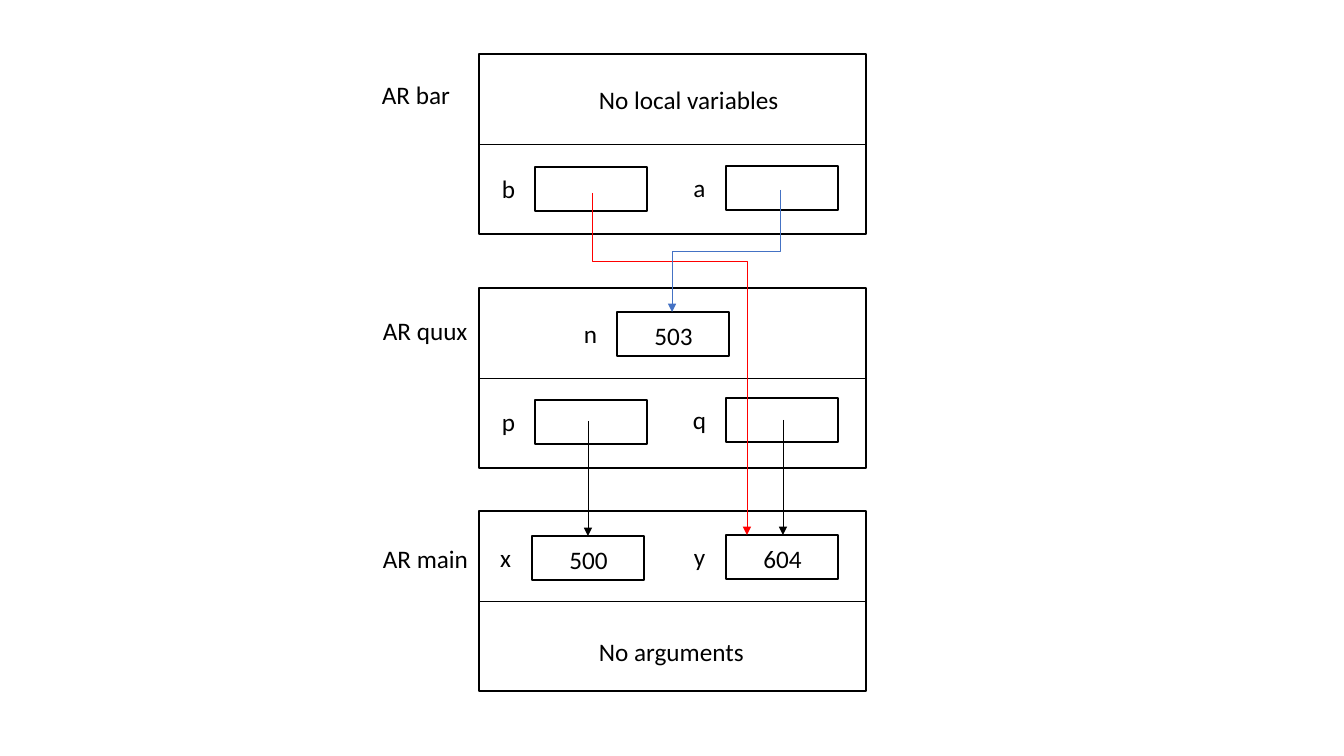
from dataclasses import dataclass

import pptx
import pptx.dml.color
import pptx.enum.shapes
import pptx.enum.text
import pptx.oxml
import pptx.oxml.ns
import pptx.util

RGBColor = pptx.dml.color.RGBColor
BLACK = RGBColor(0x00, 0x00, 0x00)
RED = RGBColor(0xFF, 0x00, 0x00)
BLUE = RGBColor(0x44, 0x72, 0xC4)

SCALE = 914400 / 100.8
FONT = "Calibri"
RECORD_X, RECORD_W, RECORD_H = 479, 387, 180
CELL_W, CELL_H, NAME_W, TEXT_H = 112, 44, 53, 40
THICK, THIN = 1, 0.5


@dataclass(frozen=True)
class Label:
    """A free caption beside or inside a record."""
    text: str
    x: int
    y: int
    w: int


@dataclass(frozen=True)
class Cell:
    """A named variable; x and y are the corner of its box."""
    name: str
    x: int
    y: int
    value: str = ""


@dataclass(frozen=True)
class Pointer:
    """An arrow running down; bend is the share of the drop before the turn."""
    x1: int
    y1: int
    x2: int
    y2: int
    color: RGBColor = BLACK
    bend: float = 0.5


RECORD_TOPS = [288, 54, 511]
LABELS = [
    Label("No arguments", 589, 631, 166),
    Label("AR main", 373, 538, 107),
    Label("AR quux", 373, 310, 106),
    Label("AR bar", 372, 74, 89),
    Label("No local variables", 589, 79, 202),
]
CELLS = [
    Cell("x", 532, 536, "500"),
    Cell("y", 726, 535, "604"),
    Cell("n", 617, 312, "503"),
    Cell("p", 535, 400),
    Cell("q", 726, 398),
    Cell("b", 535, 167),
    Cell("a", 726, 166),
]
POINTERS = [
    Pointer(588, 421, 588, 536),
    Pointer(783, 420, 783, 535),
    Pointer(592, 193, 747, 535, RED, 0.2),
    Pointer(780, 190, 672, 312, BLUE),
]


def px(n: float) -> int:
    """Turn pixels into EMU."""
    return pptx.util.Emu(round(n * SCALE))


def add_text(shapes, text: str, x: int, y: int, w: int, *,
             centered: bool = False, wrap: bool = False, size: int = 18,
             color: RGBColor = BLACK) -> None:
    """Add a one-line text box."""
    tf = shapes.add_textbox(px(x), px(y), px(w), px(TEXT_H)).text_frame
    tf.word_wrap = wrap
    tf.auto_size = pptx.enum.text.MSO_AUTO_SIZE.SHAPE_TO_FIT_TEXT
    p = tf.paragraphs[0]
    if centered:
        p.alignment = pptx.enum.text.PP_ALIGN.CENTER
    r = p.add_run()
    r.text = text
    r.font.name = FONT
    r.font.size = pptx.util.Pt(size)
    r.font.color.rgb = color


def add_box(shapes, x: int, y: int, w: int, h: int) -> None:
    """Add an unfilled outlined rectangle."""
    sp = shapes.add_shape(pptx.enum.shapes.MSO_SHAPE.RECTANGLE,
                          px(x), px(y), px(w), px(h))
    sp.shadow.inherit = False
    sp.fill.background()
    sp.line.color.rgb = BLACK
    sp.line.width = pptx.util.Pt(THICK)


def add_line(shapes, x1: float, y1: float, x2: float, y2: float, *,
             color: RGBColor = BLACK, elbow: bool = False):
    """Add a thin connector without shadow."""
    kinds = pptx.enum.shapes.MSO_CONNECTOR
    c = shapes.add_connector(kinds.ELBOW if elbow else kinds.STRAIGHT,
                             px(x1), px(y1), px(x2), px(y2))
    c.line.color.rgb = color
    c.line.width = pptx.util.Pt(THIN)
    pptx.oxml.ns  # namespace helpers used below
    c._element.spPr.append(pptx.oxml.parse_xml(
        f'<a:effectLst {pptx.oxml.ns.nsdecls("a")}/>'))
    return c


def add_record(shapes, top: int) -> None:
    """Add an activation record split into two halves."""
    group = shapes.add_group_shape().shapes
    middle = top + RECORD_H / 2
    add_box(group, RECORD_X, top, RECORD_W, RECORD_H)
    add_line(group, RECORD_X, middle, RECORD_X + RECORD_W, middle)


def add_cell(shapes, cell: Cell) -> None:
    """Add a variable's name, box and value."""
    group = shapes.add_group_shape().shapes
    add_text(group, cell.name, cell.x - NAME_W, cell.y + 1, NAME_W,
             centered=True, wrap=True)
    add_box(group, cell.x, cell.y, CELL_W, CELL_H)
    if cell.value:
        add_text(group, cell.value, cell.x + 1, cell.y + 3, CELL_W - 1,
                 centered=True, wrap=True)


def add_pointer(shapes, a: Pointer) -> None:
    """Add a straight arrow, or an elbow turned to leave downwards."""
    if a.x1 == a.x2:
        c = add_line(shapes, a.x1, a.y1, a.x2, a.y2, color=a.color)
    else:
        rightward = a.x2 > a.x1
        cx, cy = (a.x1 + a.x2) / 2, (a.y1 + a.y2) / 2
        half_w = (a.y2 - a.y1) / 2 * (-1 if rightward else 1)
        half_h = abs(a.x2 - a.x1) / 2
        c = add_line(shapes, cx - half_w, cy - half_h, cx + half_w,
                     cy + half_h, color=a.color, elbow=True)
        sp_pr = c._element.spPr
        sp_pr.find(pptx.oxml.ns.qn("a:xfrm")).set(
            "rot", str((270 if rightward else 90) * 60000))
        geom = sp_pr.find(pptx.oxml.ns.qn("a:prstGeom"))
        geom.find(pptx.oxml.ns.qn("a:avLst")).append(pptx.oxml.parse_xml(
            f'<a:gd {pptx.oxml.ns.nsdecls("a")} name="adj1" '
            f'fmla="val {round(a.bend * 100000)}"/>'))
    c.line._get_or_add_ln().append(pptx.oxml.parse_xml(
        f'<a:tailEnd {pptx.oxml.ns.nsdecls("a")} type="triangle"/>'))


prs = pptx.Presentation()
prs.slide_width, prs.slide_height = px(1344), px(756)
s = prs.slides.add_slide(prs.slide_layouts[6])
for top in RECORD_TOPS:
    add_record(s.shapes, top)
for label in LABELS:
    add_text(s.shapes, label.text, label.x, label.y, label.w)
for cell in CELLS:
    add_cell(s.shapes, cell)
for pointer in POINTERS:
    add_pointer(s.shapes, pointer)
prs.save("out.pptx")
